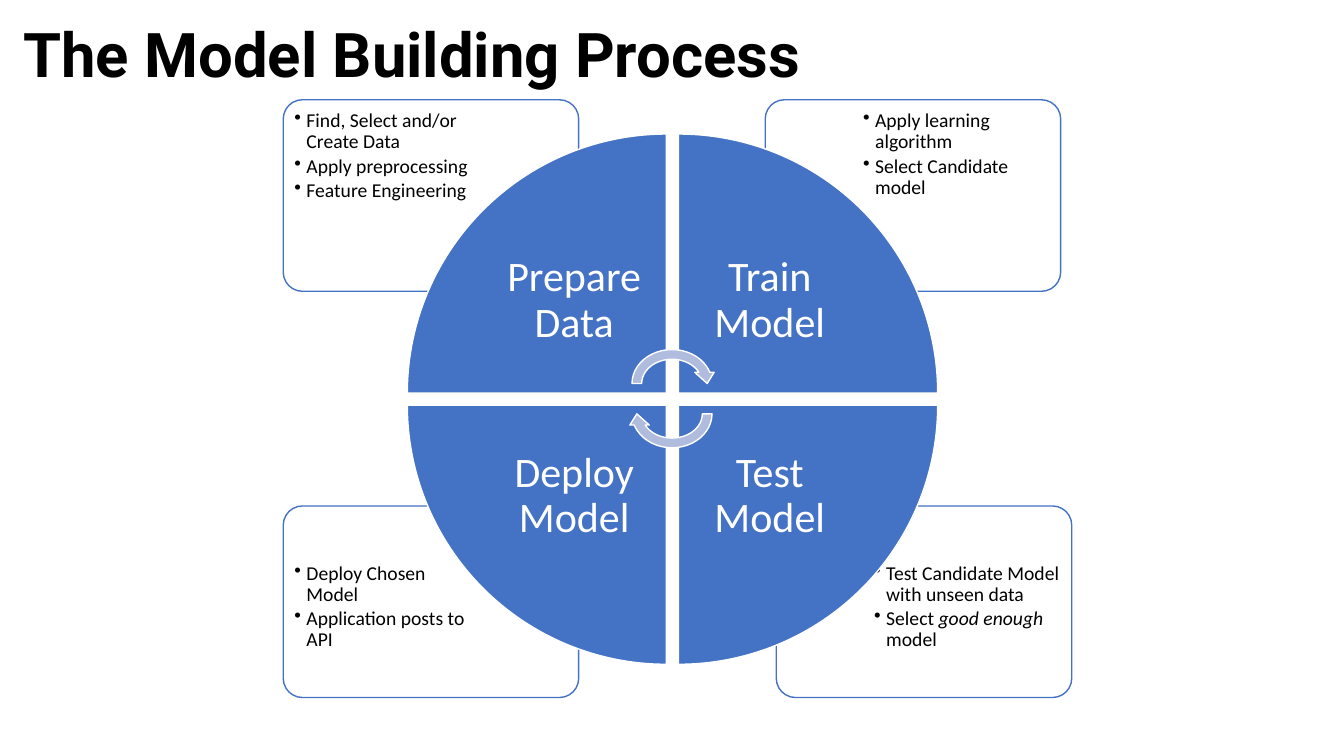
from dataclasses import dataclass

import lxml.etree
import pptx
import pptx.dml.color
import pptx.enum.shapes
import pptx.enum.text
import pptx.oxml.ns
import pptx.presentation
import pptx.shapes.autoshape
import pptx.slide
import pptx.text.text
import pptx.util

Inches = pptx.util.Inches
Pt = pptx.util.Pt
RGB = pptx.dml.color.RGBColor
Kind = pptx.enum.shapes.MSO_SHAPE
Anchor = pptx.enum.text.MSO_ANCHOR
Align = pptx.enum.text.PP_ALIGN
qn = pptx.oxml.ns.qn

BLACK = RGB(0x00, 0x00, 0x00)
WHITE = RGB(0xFF, 0xFF, 0xFF)
BLUE = RGB(0x44, 0x72, 0xC4)
PALE = RGB(0xB0, 0xBC, 0xDE)

CARD_W, CARD_H = 2.93, 1.9
NOTE_W, NOTE_H = 1.97, 1.34
EDGE = 0.05
WEDGE, STEP = 2.57, 2.69
WHEEL_X, WHEEL_Y = 4.04, 1.33
LABEL = 1.81
INSET = 0.75


@dataclass(frozen=True)
class Stage:
    """One quarter of the wheel; odd pieces of a point are italic."""
    name: str
    col: int
    row: int
    turn: int
    left: float
    top: float
    points: tuple[tuple[str, ...], ...]


STAGES = (
    Stage("Prepare Data", 0, 0, 0, 2.81, 0.99, (
        ("Find, Select and/or Create Data",),
        ("Apply preprocessing",),
        ("Feature Engineering",))),
    Stage("Train Model", 1, 0, 90, 7.59, 0.99, (
        ("Apply learning algorithm",),
        ("Select Candidate model",))),
    Stage("Test Model", 1, 1, 180, 7.7, 5.02, (
        ("Test Candidate Model with unseen data",),
        ("Select ", "good enough ", "model"))),
    Stage("Deploy Model", 0, 1, 270, 2.81, 5.02, (
        ("Deploy Chosen Model",),
        ("Application posts to API",))),
)


def add_form(slide: pptx.slide.Slide, kind: Kind, left: float, top: float,
             width: float, height: float, fill: RGB, line: RGB,
             turn: int = 0) -> pptx.shapes.autoshape.Shape:
    form = slide.shapes.add_shape(
        kind, Inches(left), Inches(top), Inches(width), Inches(height))
    form.shadow.inherit = False
    form.fill.solid()
    form.fill.fore_color.rgb = fill
    form.line.color.rgb = line
    form.line.width = Pt(1)
    form.rotation = turn
    return form


def add_frame(slide: pptx.slide.Slide, left: float, top: float, width: float,
              height: float, inset: float,
              anchor: Anchor) -> pptx.text.text.TextFrame:
    box = slide.shapes.add_textbox(
        Inches(left), Inches(top), Inches(width), Inches(height))
    frame = box.text_frame
    frame.word_wrap = True
    frame.vertical_anchor = anchor
    frame.margin_left = frame.margin_right = Inches(inset)
    frame.margin_top = frame.margin_bottom = Inches(inset)
    return frame


def style(para: pptx.text.text._Paragraph, size: int, color: RGB,
          face: str = "Calibri", bold: bool = False) -> None:
    para.line_spacing = 0.9
    para.font.size = Pt(size)
    para.font.name = face
    para.font.bold = bold
    para.font.color.rgb = color


def add_bullet(para: pptx.text.text._Paragraph) -> None:
    props = para._p.get_or_add_pPr()
    indent = Inches(0.12)
    props.set("marL", str(indent))
    props.set("indent", str(-indent))
    mark = lxml.etree.Element(qn("a:buChar"), char="•")
    props.find(qn("a:defRPr")).addprevious(mark)


def add_card(slide: pptx.slide.Slide, stage: Stage) -> None:
    card = add_form(slide, Kind.ROUNDED_RECTANGLE, stage.left, stage.top,
                    CARD_W, CARD_H, WHITE, BLUE)
    card.adjustments[0] = 0.1
    tint = card._element.spPr.find(qn("a:solidFill"))[0]
    lxml.etree.SubElement(tint, qn("a:alpha"), val="90000")

    left = stage.left + (CARD_W - NOTE_W - EDGE if stage.col else EDGE)
    top = stage.top + (CARD_H - NOTE_H - EDGE if stage.row else EDGE)
    frame = add_frame(slide, left, top, NOTE_W, NOTE_H, 0.06, Anchor.TOP)
    for index, point in enumerate(stage.points):
        para = frame.add_paragraph() if index else frame.paragraphs[0]
        style(para, 14, BLACK)
        para.space_after = Pt(2.1)
        add_bullet(para)
        for place, piece in enumerate(point):
            run = para.add_run()
            run.text = piece
            if place % 2:
                run.font.italic = True


def add_wedge(slide: pptx.slide.Slide, stage: Stage) -> None:
    left = WHEEL_X + stage.col * STEP
    top = WHEEL_Y + stage.row * STEP
    add_form(slide, Kind.PIE_WEDGE, left, top, WEDGE, WEDGE, BLUE, WHITE,
             stage.turn)
    frame = add_frame(slide, left + INSET * (1 - stage.col),
                      top + INSET * (1 - stage.row), LABEL, LABEL, 0.23,
                      Anchor.MIDDLE)
    para = frame.paragraphs[0]
    para.text = stage.name
    para.alignment = Align.CENTER
    style(para, 30, WHITE)


def main() -> None:
    deck = pptx.Presentation()
    deck.slide_width, deck.slide_height = Inches(13.33), Inches(7.5)
    slide = deck.slides.add_slide(deck.slide_layouts[6])

    title = add_frame(slide, 0.23, 0.23, 12.33, 0.69, 0, Anchor.MIDDLE)
    title.text = "The Model Building Process"
    style(title.paragraphs[0], 44, BLACK, "Roboto", True)

    for stage in reversed(STAGES):
        add_card(slide, stage)
    for stage in STAGES:
        add_wedge(slide, stage)
    for top, turn in ((3.42, 0), (3.72, 180)):
        add_form(slide, Kind.CIRCULAR_ARROW, 6.22, top, 0.89, 0.77, PALE,
                 WHITE, turn)

    deck.save("out.pptx")


if __name__ == "__main__":
    main()
